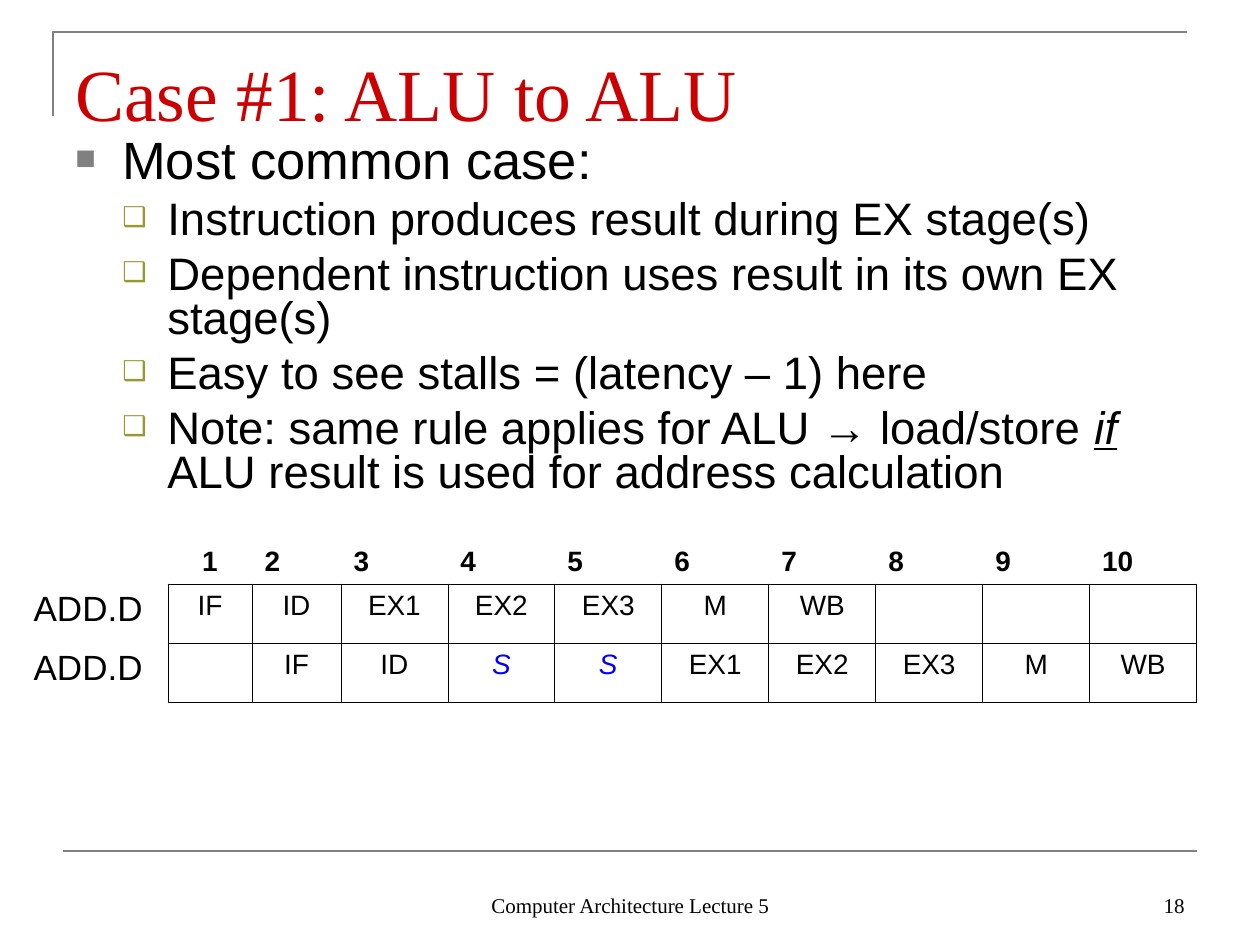
from lxml import etree
from pptx import Presentation
from pptx.dml.color import RGBColor
from pptx.enum.shapes import MSO_CONNECTOR
from pptx.enum.text import MSO_ANCHOR, PP_ALIGN
from pptx.oxml.ns import qn
from pptx.util import Emu, Pt

LEFT, CENTER, RIGHT = PP_ALIGN.LEFT, PP_ALIGN.CENTER, PP_ALIGN.RIGHT
TOP, BOTTOM = MSO_ANCHOR.TOP, MSO_ANCHOR.BOTTOM
STRAIGHT = MSO_CONNECTOR.STRAIGHT

PX = 914400 / 126
SANS, SERIF = "Arial", "Times New Roman"
BLACK, WHITE, GRAY = "000000", "FFFFFF", "808080"
RED, OLIVE, BLUE = "CC0000", "999933", "0000FF"

POINTS = [
    [("Instruction produces result during EX stage(s)", False)],
    [("Dependent instruction uses result in its own EX stage(s)", False)],
    [("Easy to see stalls = (latency – 1) here", False)],
    [("Note: same rule applies for ALU → load/store ", False), ("if", True),
     (" ALU result is used for address calculation", False)],
]
STALL = "S"
PIPELINE = [
    [""] + [str(cycle) for cycle in range(1, 11)],
    ["ADD.D", "IF", "ID", "EX1", "EX2", "EX3", "M", "WB", "", "", ""],
    ["ADD.D", "", "IF", "ID", STALL, STALL, "EX1", "EX2", "EX3", "M", "WB"],
]
COLUMN_WIDTHS = [147, 84, 89] + [107] * 8
ROW_HEIGHT = 59


def px(length):
    return Emu(round(length * PX))


def rgb(color):
    return RGBColor.from_string(color)


def style_run(run, size, face=SANS, color=BLACK, bold=False, italic=False):
    font = run.font
    font.name, font.size = face, Pt(size)
    font.bold, font.italic = bold, italic
    font.color.rgb = rgb(color)


def style_rule(line):
    line.color.rgb = rgb(GRAY)
    line.width = Pt(1.5)


def add_corner_rule(slide):
    builder = slide.shapes.build_freeform(53, 116, scale=PX)
    builder.add_line_segments([(53, 32), (1187, 32)], close=False)
    corner = builder.convert_to_shape()
    corner.shadow.inherit = False
    corner.fill.background()
    style_rule(corner.line)


def add_footer_rule(slide):
    rule = slide.shapes.add_connector(STRAIGHT, px(63), px(851), px(1197), px(851))
    style_rule(rule.line)
    etree.SubElement(rule._element.spPr, qn("a:effectLst"))


def add_frame(slide, left, top, width, height, anchor, inset_top=6, inset_bottom=6):
    """Add an empty wrapping text box and return its text frame."""
    box = slide.shapes.add_textbox(px(left), px(top), px(width), px(height))
    frame = box.text_frame
    frame.word_wrap = True
    frame.vertical_anchor = anchor
    frame.margin_top, frame.margin_bottom = px(inset_top), px(inset_bottom)
    return frame


def write_line(frame, text, size, color=BLACK, align=LEFT):
    frame.text = text
    paragraph = frame.paragraphs[0]
    paragraph.alignment = align
    style_run(paragraph.runs[0], size, SERIF, color)


def set_bullet(paragraph, char, color, percent, margin, hanging):
    properties = paragraph._p.get_or_add_pPr()
    properties.set("marL", str(px(margin)))
    properties.set("indent", str(-px(hanging)))
    bullet_color = etree.SubElement(properties, qn("a:buClr"))
    etree.SubElement(bullet_color, qn("a:srgbClr"), val=color)
    etree.SubElement(properties, qn("a:buSzPct"), val=str(percent * 1000))
    etree.SubElement(properties, qn("a:buFont"), typeface=SANS)
    etree.SubElement(properties, qn("a:buChar"), char=char)
    paragraph.line_spacing = 0.8


def add_body(slide):
    frame = add_frame(slide, 63, 126, 1134, 410, TOP, inset_top=13)
    frame.text = "Most common case:"
    heading = frame.paragraphs[0]
    set_bullet(heading, "■", GRAY, 65, 47, 47)
    style_run(heading.runs[0], 30)
    for point in POINTS:
        paragraph = frame.add_paragraph()
        paragraph.level = 1
        set_bullet(paragraph, "❑", OLIVE, 60, 92, 45)
        paragraph.space_before = Pt(6.5)
        for text, emphasized in point:
            run = paragraph.add_run()
            run.text = text
            style_run(run, 26, italic=emphasized)
            run.font.underline = emphasized


def set_borders(cell, colors):
    """Set left, right, top and bottom border colours, in that order."""
    properties = cell._tc.get_or_add_tcPr()
    for position, (side, color) in enumerate(zip("LRTB", colors)):
        border = etree.Element(qn(f"a:ln{side}"), w=str(Pt(0.45)))
        fill = etree.SubElement(border, qn("a:solidFill"))
        etree.SubElement(fill, qn("a:srgbClr"), val=color)
        properties.insert(position, border)


def border_colors(row, column):
    """Black around the stage grid, white around the cycle and instruction labels."""
    if row and column:
        return [BLACK] * 4
    right = BLACK if row else WHITE
    bottom = BLACK if column else WHITE
    return [WHITE, right, WHITE if row == 0 or column == 0 else BLACK, bottom]


def write_cell(cell, text, row, column):
    cell.text = text
    cell.vertical_anchor = TOP if row else BOTTOM
    paragraph = cell.text_frame.paragraphs[0]
    left_aligned = column == 0 or (row == 0 and column > 1)
    paragraph.alignment = LEFT if left_aligned else CENTER
    for run in paragraph.runs:
        stalled = text == STALL
        style_run(run, 16 if column else 20, color=BLUE if stalled else BLACK,
                  bold=row == 0, italic=stalled)


def add_pipeline(slide):
    table = slide.shapes.add_table(
        len(PIPELINE), len(COLUMN_WIDTHS), px(21), px(525),
        px(sum(COLUMN_WIDTHS)), px(ROW_HEIGHT * len(PIPELINE))).table
    table.first_row = table.horz_banding = False
    for column, width in zip(table.columns, COLUMN_WIDTHS):
        column.width = px(width)
    for row, stages in enumerate(PIPELINE):
        table.rows[row].height = px(ROW_HEIGHT)
        for column, text in enumerate(stages):
            cell = table.cell(row, column)
            write_cell(cell, text, row, column)
            cell.fill.background()
            set_borders(cell, border_colors(row, column))


def main():
    prs = Presentation()
    prs.slide_width, prs.slide_height = px(1260), px(945)
    slide = prs.slides.add_slide(prs.slide_layouts[6])
    add_corner_rule(slide)
    add_footer_rule(slide)
    title = add_frame(slide, 63, 38, 1134, 98, BOTTOM, inset_bottom=0)
    write_line(title, "Case #1: ALU to ALU", 42, RED)
    add_body(slide)
    footer = add_frame(slide, 431, 861, 399, 63, BOTTOM)
    write_line(footer, "Computer Architecture Lecture 5", 12, align=CENTER)
    page_number = add_frame(slide, 903, 861, 294, 63, BOTTOM)
    write_line(page_number, "18", 12, align=RIGHT)
    add_pipeline(slide)
    prs.save("out.pptx")


if __name__ == "__main__":
    main()
